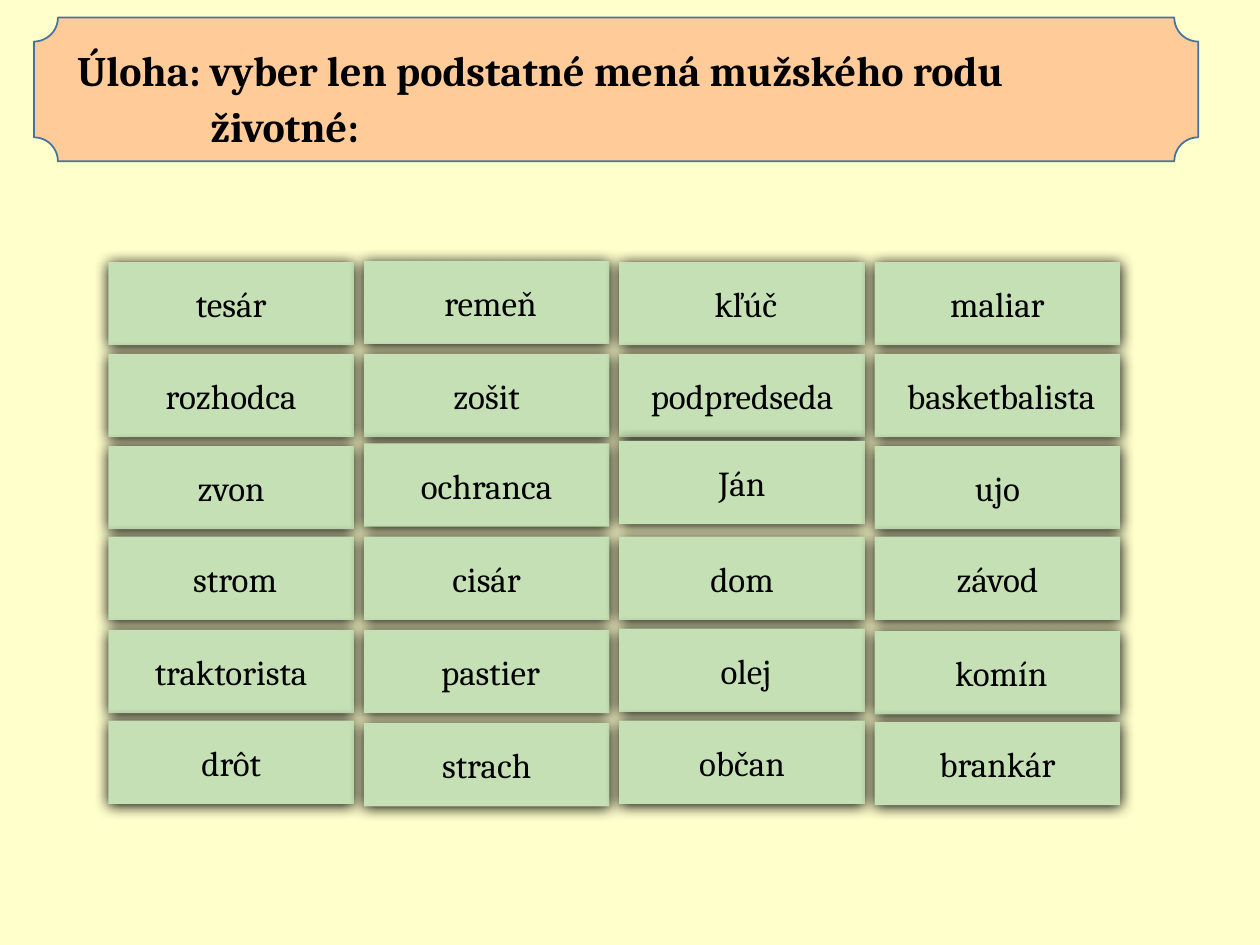
from dataclasses import dataclass

from lxml import etree
from pptx import Presentation
from pptx.dml import color
from pptx.enum import shapes, text
from pptx.oxml import ns
from pptx.util import Inches, Pt

FONT = "Cambria"
COLORS = {
    "page": "FFFFCC",
    "plaque": "FFCC99",
    "edge": "43739E",
    "card": "C5E0B4",
    "ink": "000000",
}
LEFT, STEP = 0.86, 2.027
WIDTH, HEIGHT = 1.95, 0.66


@dataclass
class Row:
    words: tuple[str, ...]
    tops: tuple[float, ...]


@dataclass
class Line:
    words: str
    indent: float


ROWS = [
    Row(("tesár", "remeň", "kľúč", "maliar"), (2.08, 2.07, 2.08, 2.08)),
    Row(("rozhodca", "zošit", "podpredseda", "basketbalista"), (2.81,) * 4),
    Row(("zvon", "ochranca", "Ján", "ujo"), (3.54, 3.52, 3.5, 3.54)),
    Row(("strom", "cisár", "dom", "závod"), (4.26,) * 4),
    Row(("traktorista", "pastier", "olej", "komín"), (5, 5, 4.99, 5.01)),
    Row(("drôt", "strach", "občan", "brankár"), (5.72, 5.74, 5.72, 5.73)),
]
NUDGED = {"remeň", "kľúč", "basketbalista", "strom", "pastier", "olej", "komín"}
TITLE = [
    Line("Úloha: vyber len podstatné mená mužského rodu", 0.11),
    Line("životné:", 1.17),
]


def tint(name: str) -> color.RGBColor:
    return color.RGBColor.from_string(COLORS[name])


def add_box(slide, kind, left: float, top: float, width: float, height: float, fill: str):
    box = slide.shapes.add_shape(
        kind, Inches(left), Inches(top), Inches(width), Inches(height)
    )
    box.shadow.inherit = False
    box.fill.solid()
    box.fill.fore_color.rgb = tint(fill)
    box.text_frame.word_wrap = True
    box.text_frame.vertical_anchor = text.MSO_ANCHOR.MIDDLE
    return box


def style(para, size: int, bold: bool, align) -> None:
    para.alignment = align
    for run in para.runs:
        run.font.name = FONT
        run.font.size = Pt(size)
        run.font.bold = bold
        run.font.color.rgb = tint("ink")


def add_shade(box) -> None:
    effects = box._element.spPr.find(ns.qn("a:effectLst"))
    shade = etree.SubElement(
        effects,
        ns.qn("a:outerShdw"),
        blurRad=str(Pt(8.5)),
        dist=str(Pt(1)),
        dir="5400000",
        algn="ctr",
        rotWithShape="0",
    )
    etree.SubElement(shade, ns.qn("a:srgbClr"), val=COLORS["ink"])


def add_title(slide) -> None:
    box = add_box(slide, shapes.MSO_SHAPE.PLAQUE, 0.27, 0.14, 9.24, 1.14, "plaque")
    box.line.color.rgb = tint("edge")
    box.line.width = Pt(1)
    frame = box.text_frame
    frame.margin_top, frame.margin_bottom = Inches(0.13), 0
    frame.text = "\n".join(line.words for line in TITLE)
    for para, line in zip(frame.paragraphs, TITLE):
        para._p.get_or_add_pPr().set("marL", str(Inches(line.indent)))
        style(para, 24, True, text.PP_ALIGN.LEFT)
    frame.paragraphs[-1].space_before = Pt(3.4)


def add_card(slide, word: str, left: float, top: float) -> None:
    box = add_box(slide, shapes.MSO_SHAPE.RECTANGLE, left, top, WIDTH, HEIGHT, "card")
    box.line.fill.background()
    add_shade(box)
    frame = box.text_frame
    if word in NUDGED:
        frame.margin_left = Inches(0.16)
    frame.text = word
    style(frame.paragraphs[0], 20, False, text.PP_ALIGN.CENTER)


def main() -> None:
    deck = Presentation()
    deck.slide_width, deck.slide_height = Inches(10), Inches(7.5)
    slide = deck.slides.add_slide(deck.slide_layouts[6])
    slide.background.fill.solid()
    slide.background.fill.fore_color.rgb = tint("page")
    add_title(slide)
    for row in ROWS:
        for col, (word, top) in enumerate(zip(row.words, row.tops)):
            add_card(slide, word, LEFT + col * STEP, top)
    deck.save("out.pptx")


if __name__ == "__main__":
    main()
